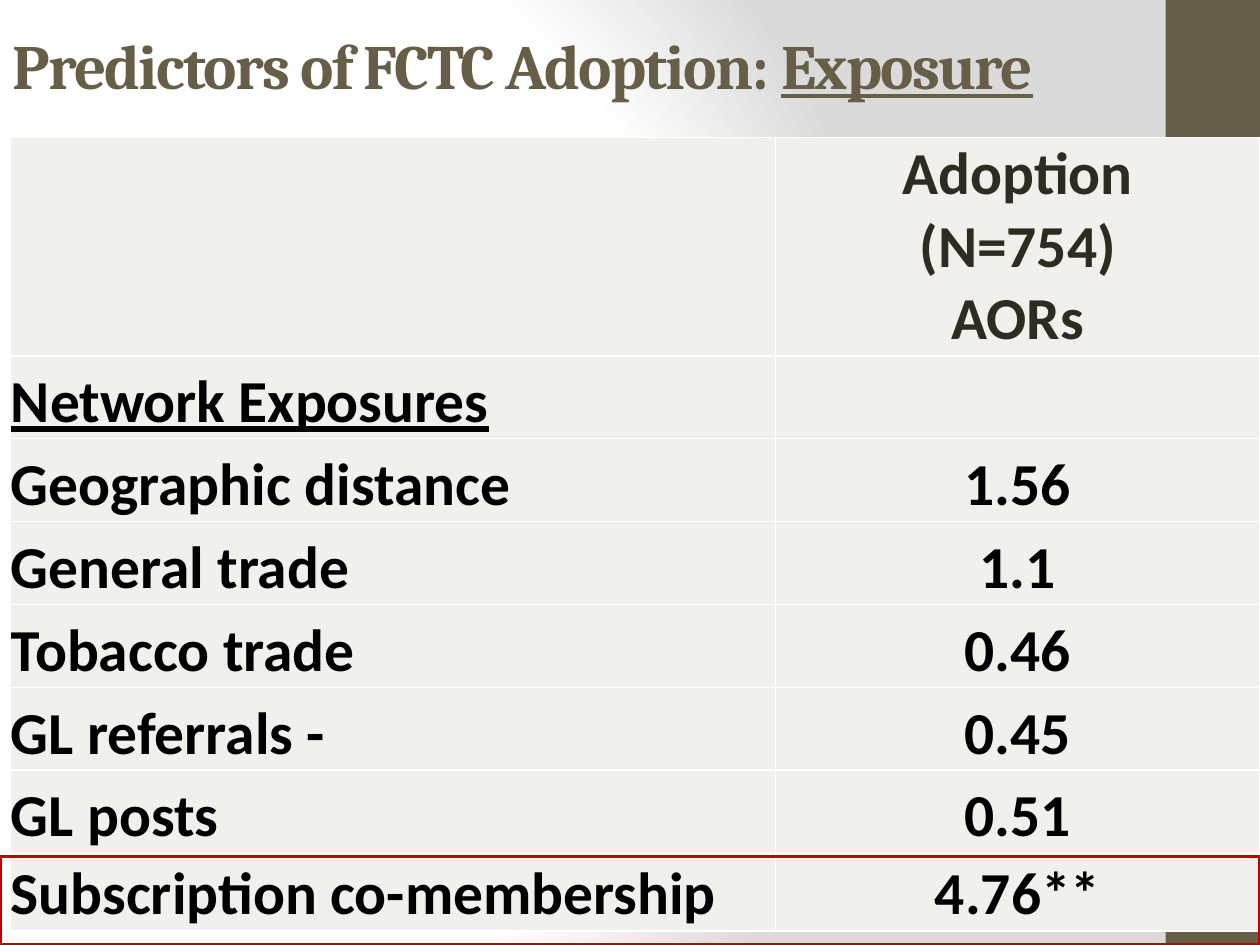
import pptx
import pptx.util
import pptx.oxml
import pptx.oxml.ns
from pptx.dml.color import RGBColor
from pptx.enum.shapes import MSO_SHAPE
from pptx.enum.text import MSO_ANCHOR, MSO_AUTO_SIZE, PP_ALIGN
from pptx.util import Cm

OLIVE = RGBColor(0x67, 0x5E, 0x47)
DARK = RGBColor(0x2F, 0x2B, 0x20)
BLACK = RGBColor(0, 0, 0)
PALE = RGBColor(0xF1, 0xF0, 0xEC)
RED = RGBColor(0xC0, 0, 0)

BACKGROUND_STOPS = [(0, "FFFFFF"), (75, "FFFFFF"), (100, "DADADA")]

HEADER = "Adoption\n(N=754)\nAORs"
SECTION = "Network Exposures"
ROWS = [
    ("", HEADER),
    (SECTION, ""),
    ("Geographic distance", "1.56"),
    ("General trade", "1.1"),
    ("Tobacco trade", "0.46"),
    ("GL referrals -", "0.45"),
    ("GL posts", "0.51"),
    ("Subscription co-membership", "4.76**"),
]
COLUMN_WIDTHS = [15.43, 9.77]
ROW_HEIGHTS = [4.34] + [1.67] * 6 + [1.57]


class SlideBuilder:
    heading_font = "Cambria"
    body_font = "Calibri"

    def __init__(self, slide):
        self.slide = slide

    def format_run(self, run, font, size, color, underline=False):
        run.font.name = font
        run.font.size = pptx.util.Pt(size)
        run.font.bold = True
        run.font.underline = underline
        run.font.color.rgb = color

    def background(self, stops):
        self.slide.background.fill.gradient()
        gradient = self.slide.element.find(".//" + pptx.oxml.ns.qn("a:gradFill"))
        stop_xml = "".join(
            f'<a:gs pos="{position * 1000}"><a:srgbClr val="{color}"/></a:gs>'
            for position, color in stops
        )
        radial = pptx.oxml.parse_xml(
            f'<a:gradFill {pptx.oxml.ns.nsdecls("a")} rotWithShape="1">'
            f'<a:gsLst>{stop_xml}</a:gsLst><a:path path="circle">'
            '<a:fillToRect l="20000" t="50000" r="100000" b="50000"/>'
            "</a:path></a:gradFill>"
        )
        gradient.getparent().replace(gradient, radial)

    def rectangle(self, left, top, width, height, fill=None, line=None):
        shape = self.slide.shapes.add_shape(
            MSO_SHAPE.RECTANGLE, Cm(left), Cm(top), Cm(width), Cm(height)
        )
        shape.shadow.inherit = False
        if fill is None:
            shape.fill.background()
        else:
            shape.fill.solid()
            shape.fill.fore_color.rgb = fill
        if line is None:
            shape.line.fill.background()
        else:
            shape.line.color.rgb = line
            shape.line.width = pptx.util.Pt(2)
        return shape

    def title(self, left, top, width, height, plain, underlined):
        title = self.slide.shapes.title
        title.left, title.top = Cm(left), Cm(top)
        title.width, title.height = Cm(width), Cm(height)
        frame = title.text_frame
        frame.word_wrap = True
        frame.auto_size = MSO_AUTO_SIZE.NONE
        frame.vertical_anchor = MSO_ANCHOR.TOP
        paragraph = frame.paragraphs[0]
        paragraph.alignment = PP_ALIGN.LEFT
        for text, underline in [(plain, False), (underlined, True)]:
            run = paragraph.add_run()
            run.text = text
            self.format_run(run, self.heading_font, 36, OLIVE, underline)
            run.font._element.set("spc", "-100")
        return title

    def table(self, left, top, widths, heights, rows):
        table = self.slide.shapes.add_table(
            len(rows), len(widths), Cm(left), Cm(top), Cm(sum(widths)), Cm(sum(heights))
        ).table
        table.first_row = False
        table.horz_banding = False
        for column, width in zip(table.columns, widths):
            column.width = Cm(width)
        for row, height, texts in zip(table.rows, heights, rows):
            row.height = Cm(height)
            for index, (cell, text) in enumerate(zip(row.cells, texts)):
                self.cell(cell, text, PP_ALIGN.CENTER if index else PP_ALIGN.LEFT)

    def cell(self, cell, text, alignment):
        cell.fill.solid()
        cell.fill.fore_color.rgb = PALE
        cell.vertical_anchor = MSO_ANCHOR.BOTTOM
        cell.margin_left = cell.margin_right = cell.margin_top = Cm(0.02)
        cell.margin_bottom = 0
        cell.text_frame.text = text
        color = DARK if text == HEADER else BLACK
        for paragraph in cell.text_frame.paragraphs:
            paragraph.alignment = alignment
            for run in paragraph.runs:
                self.format_run(run, self.body_font, 34, color, text == SECTION)


def main():
    presentation = pptx.Presentation()
    presentation.slide_width = Cm(25.4)
    presentation.slide_height = Cm(19.05)
    builder = SlideBuilder(presentation.slides.add_slide(presentation.slide_layouts[5]))
    builder.background(BACKGROUND_STOPS)
    title = builder.title(0, 0.41, 24.77, 3.18, "Predictors of FCTC Adoption: ", "Exposure")
    side_bar = builder.rectangle(23.5, 0, 1.9, 19.05, fill=OLIVE)
    title.element.addprevious(side_bar.element)
    builder.table(0.2, 2.77, COLUMN_WIDTHS, ROW_HEIGHTS, ROWS)
    builder.rectangle(0, 17.27, 25.4, 1.78, line=RED)
    presentation.save("out.pptx")


if __name__ == "__main__":
    main()
